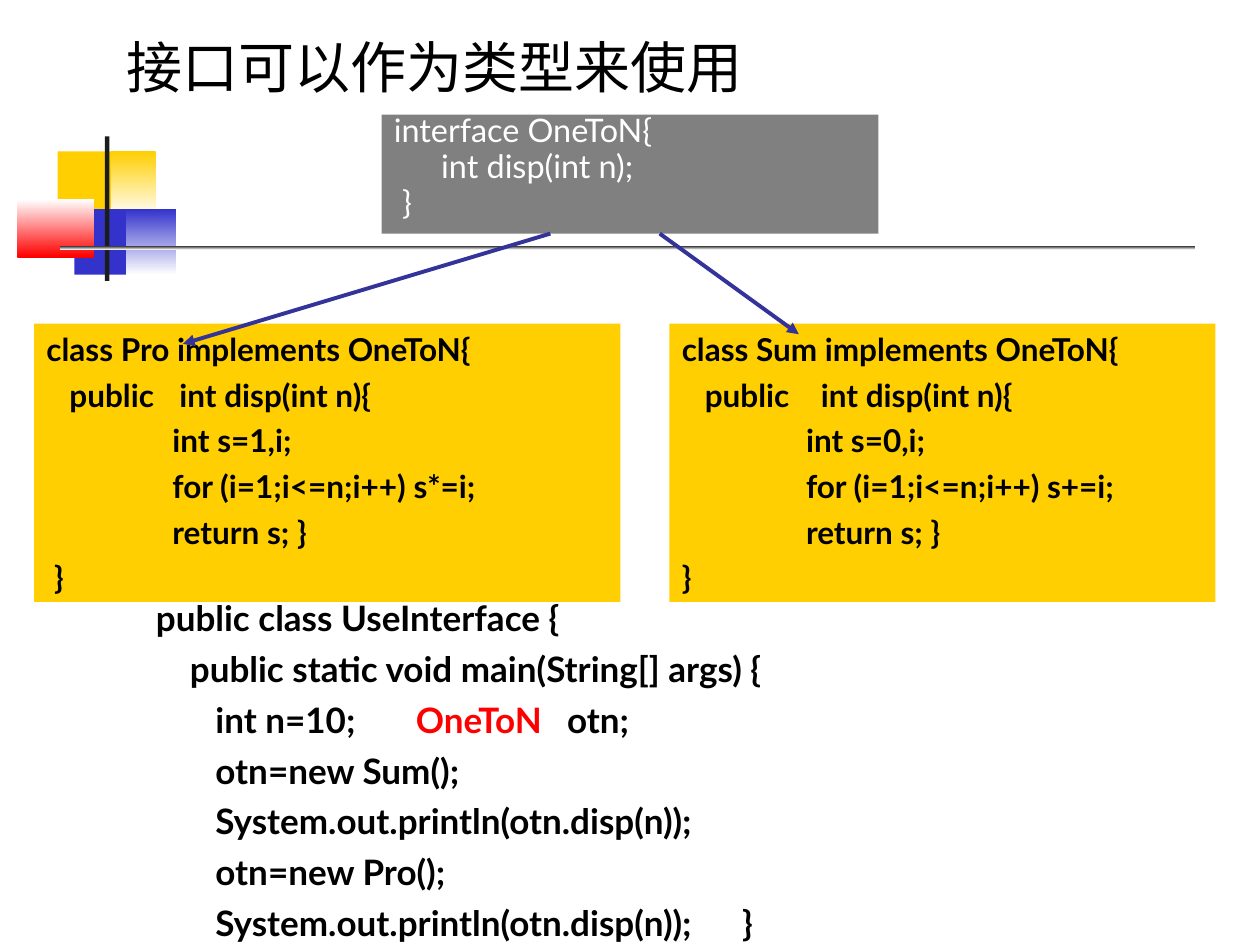
from dataclasses import dataclass

import pptx
import pptx.dml.color
import pptx.enum.shapes
import pptx.enum.text
import pptx.oxml
import pptx.oxml.ns
import pptx.util
from pptx.util import Pt


@dataclass(frozen=True)
class Theme:
    font: str = "Lato"
    title_size: float = 32
    interface_size: float = 18.5
    class_size: float = 18
    main_size: float = 20
    yellow: str = "FFCF01"
    blue: str = "3333CC"
    red: str = "FF0000"
    white: str = "FFFFFF"
    black: str = "000000"
    gray: str = "808080"
    ink: str = "1C1C1C"
    arrow: str = "333399"


THEME = Theme()
DRAWING = 'xmlns:a="http://schemas.openxmlformats.org/drawingml/2006/main"'


def color(value):
    return pptx.dml.color.RGBColor.from_string(value)


def add_rectangle(slide, box, fill, end_fill=None):
    """Add a borderless rectangle, fading downwards to end_fill if one is given."""
    shape = slide.shapes.add_shape(
        pptx.enum.shapes.MSO_SHAPE.RECTANGLE, *[Pt(length) for length in box])
    shape.shadow.inherit = False
    shape.line.fill.background()
    if end_fill:
        shape.fill.gradient()
        shape.fill.gradient_angle = 270
        for stop, value in zip(shape.fill.gradient_stops, (fill, end_fill)):
            stop.color.rgb = color(value)
    else:
        shape.fill.solid()
        shape.fill.fore_color.rgb = color(fill)
    return shape


def add_tab_stops(paragraph, stops):
    properties = paragraph._p.get_or_add_pPr()
    tabs = "".join(f'<a:tab pos="{Pt(stop)}" algn="l"/>' for stop in stops)
    properties.append(pptx.oxml.parse_xml(f"<a:tabLst {DRAWING}>{tabs}</a:tabLst>"))


def add_run(paragraph, text, size, value, bold):
    run = paragraph.add_run()
    run.text = text
    run.font.name = THEME.font
    run.font.size = Pt(size)
    run.font.bold = bold
    run.font.color.rgb = color(value)


def write_lines(shape, lines, size, value=THEME.black, bold=True, gap=0,
                spacing=None, hanging=0, anchor=pptx.enum.text.MSO_ANCHOR.TOP):
    """Write lines given as (runs, tab stops), each run being (text, colour or None)."""
    frame = shape.text_frame
    frame.word_wrap = True
    frame.vertical_anchor = anchor
    for number, (runs, stops) in enumerate(lines):
        paragraph = frame.add_paragraph() if number else frame.paragraphs[0]
        paragraph.alignment = pptx.enum.text.PP_ALIGN.LEFT
        if spacing:
            paragraph.line_spacing = spacing
        if number and gap:
            paragraph.space_before = Pt(gap)
        if hanging:
            properties = paragraph._p.get_or_add_pPr()
            properties.set("marL", str(Pt(hanging)))
            properties.set("indent", str(-Pt(hanging)))
        if stops:
            add_tab_stops(paragraph, stops)
        for text, run_color in runs:
            add_run(paragraph, text, size, run_color or value, bold)


def plain(text, stops=()):
    return [(text, None)], stops


def add_emblem(slide, box):
    left, top, width, height = box
    parts = [
        (23, 8.5, 34.5, 37.5, THEME.yellow, None),
        (53.5, 8.5, 25.5, 37.5, THEME.yellow, THEME.white),
        (32.5, 41.5, 33, 37.5, THEME.blue, None),
        (62, 41.5, 28.5, 37.5, THEME.blue, THEME.white),
        (0, 36, 44, 33, THEME.white, THEME.red),
        (50, 0, 2.5, height, THEME.ink, None),
        (24.5, 62.5, width - 24.5, 2.25, THEME.ink, THEME.white),
    ]
    for x, y, part_width, part_height, fill, end_fill in parts:
        add_rectangle(slide, (left + x, top + y, part_width, part_height), fill, end_fill)


def add_title(slide, box):
    title = slide.shapes.add_textbox(*[Pt(length) for length in box])
    write_lines(title, [plain("接口可以作为类型来使用")], THEME.title_size, bold=False,
                anchor=pptx.enum.text.MSO_ANCHOR.BOTTOM)


def add_interface(slide, box):
    lines = [plain("interface OneToN{"), plain("\tint disp(int n);", [27]), plain(" }")]
    write_lines(add_rectangle(slide, box, THEME.gray), lines, THEME.interface_size,
                THEME.white, bold=False, gap=5, spacing=0.7, hanging=27)


def add_class(slide, box, name, start, operator, signature_stop, body_stop, closing):
    body = [f"int s={start},i;", f"for (i=1;i<=n;i++) s{operator}=i;", "return s; }"]
    lines = [
        plain(f"class {name} implements OneToN{{"),
        plain("   public\tint disp(int n){", [signature_stop]),
        *[plain("\t" + statement, [body_stop]) for statement in body],
        plain(closing),
    ]
    write_lines(add_rectangle(slide, box, THEME.yellow), lines, THEME.class_size, gap=4.5)


def add_main_program(slide, box):
    stops = [148.5, 235, 335]
    lines = [
        plain("public class UseInterface {"),
        plain("    public static void main(String[] args) {"),
        ([("       int n=10;\t", None), ("OneToN", THEME.red), ("\totn;", None)], stops),
        plain("       otn=new Sum();"),
        plain("       System.out.println(otn.disp(n));"),
        plain("       otn=new Pro();"),
        plain("       System.out.println(otn.disp(n));\t}", stops),
    ]
    program = slide.shapes.add_textbox(*[Pt(length) for length in box])
    write_lines(program, lines, THEME.main_size, gap=5)


def add_arrow(slide, start, end):
    connector = slide.shapes.add_connector(
        pptx.enum.shapes.MSO_CONNECTOR.STRAIGHT, *[Pt(length) for length in start + end])
    connector.line.color.rgb = color(THEME.arrow)
    connector.line.width = Pt(2.25)
    connector.line._get_or_add_ln().append(
        pptx.oxml.parse_xml(f'<a:tailEnd {DRAWING} type="triangle"/>'))
    connector._element.spPr.append(pptx.oxml.parse_xml(f"<a:effectLst {DRAWING}/>"))


def main():
    presentation = pptx.Presentation()
    presentation.slide_width, presentation.slide_height = Pt(720), Pt(540)
    slide = presentation.slides.add_slide(presentation.slide_layouts[6])

    class_top, class_height = 185, 159
    interface_box = (218, 65.5, 284, 68)
    interface_bottom = interface_box[1] + interface_box[3]

    add_emblem(slide, (10, 78, 673, 82.5))
    add_title(slide, (65, 15, 613, 45.5))
    add_interface(slide, interface_box)
    add_class(slide, (19.5, class_top, 335, class_height), "Pro", 1, "*", 76, 72, " }")
    add_class(slide, (382.5, class_top, 312, class_height), "Sum", 0, "+", 79.5, 71, "}")
    add_arrow(slide, (314.5, interface_bottom), (104.5, 196.5))
    add_arrow(slide, (377, interface_bottom), (456.5, 191))
    add_main_program(slide, (82, 337.5, 607, 162))

    presentation.save("out.pptx")


if __name__ == "__main__":
    main()
